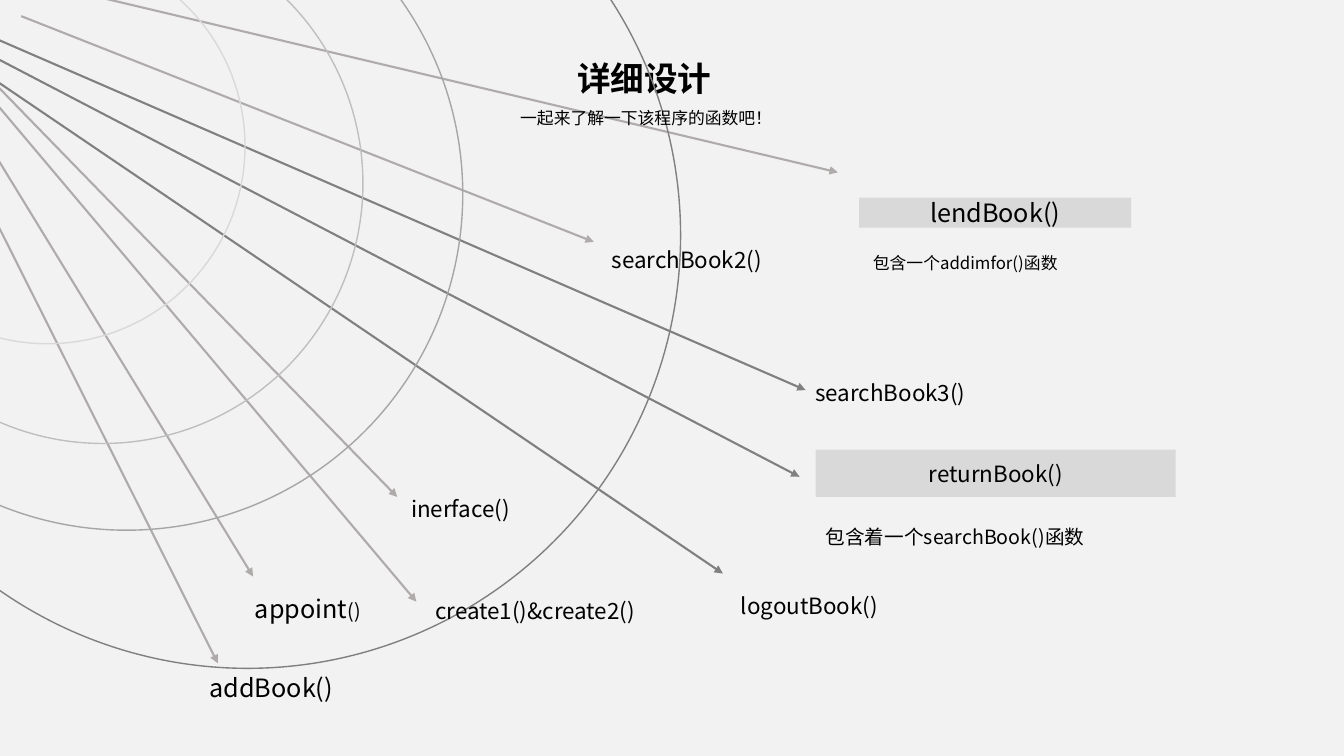
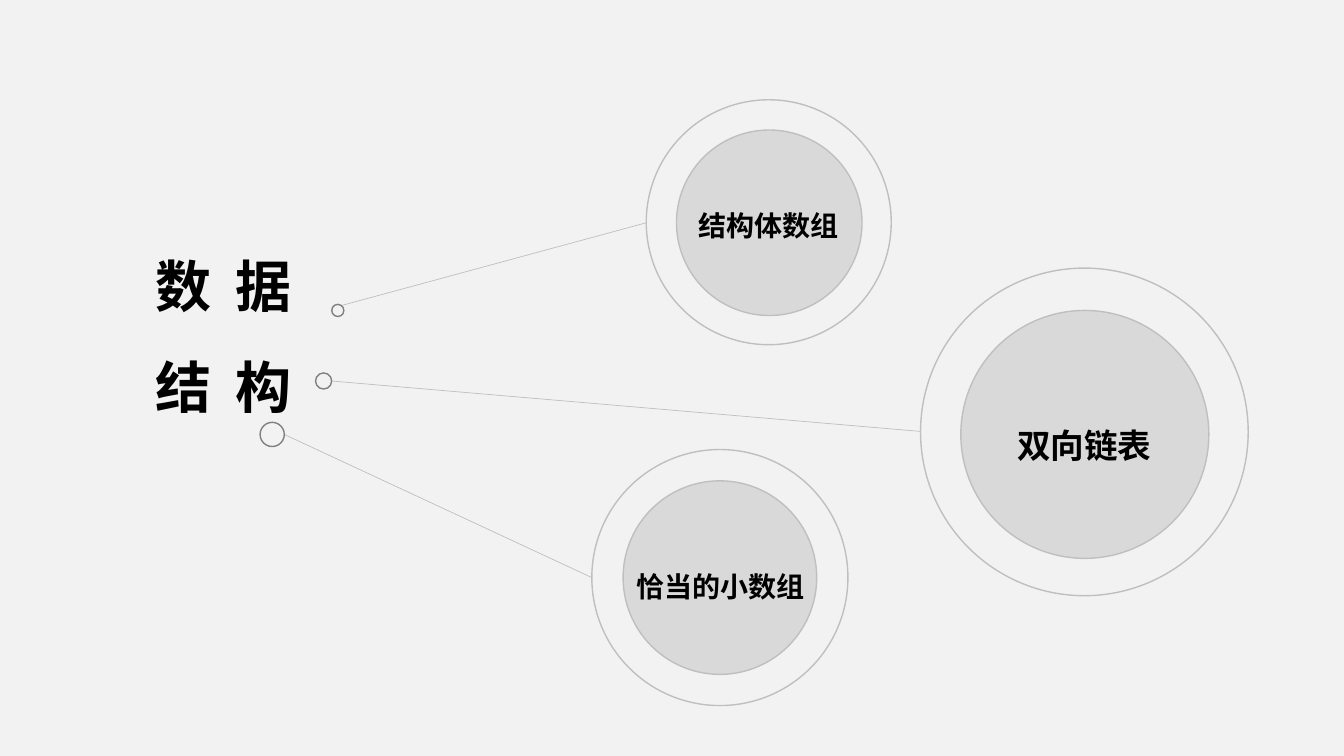
from lxml import etree
from pptx import Presentation
from pptx.dml.color import RGBColor
from pptx.enum.shapes import MSO_CONNECTOR, MSO_SHAPE
from pptx.enum.text import MSO_ANCHOR, MSO_AUTO_SIZE, PP_ALIGN
from pptx.oxml.ns import qn
from pptx.util import Inches, Pt

STRAIGHT = MSO_CONNECTOR.STRAIGHT
OVAL, RECTANGLE = MSO_SHAPE.OVAL, MSO_SHAPE.RECTANGLE
TOP, MIDDLE = MSO_ANCHOR.TOP, MSO_ANCHOR.MIDDLE
LEFT, CENTER = PP_ALIGN.LEFT, PP_ALIGN.CENTER
FONT = "Noto Sans CJK SC"
COLORS = {
    "background": "F2F2F2",
    "text": "000000",
    "panel": "D9D9D9",
    "ring": "BFBFBF",
    "arc": "A6A6A6",
    "light_arrow": "AFABAB",
    "dark": "808080",
}


def rgb(name):
    return RGBColor.from_string(COLORS[name])


def write_text(shape, paragraphs, bold=False, align=LEFT, spacing=1.5, anchor=TOP):
    """Fill a shape; each paragraph is a list of (text, size, tracking) runs."""
    frame = shape.text_frame
    frame.word_wrap = True
    frame.auto_size = MSO_AUTO_SIZE.NONE
    frame.vertical_anchor = anchor
    for index, runs in enumerate(paragraphs):
        paragraph = frame.add_paragraph() if index else frame.paragraphs[0]
        paragraph.alignment = align
        paragraph.line_spacing = spacing
        paragraph.space_before = Pt(0)
        for text, size, tracking in runs:
            run = paragraph.add_run()
            run.text = text
            run.font.size = Pt(size)
            run.font.bold = bold
            run.font.name = FONT
            run.font.color.rgb = rgb("text")
            properties = run.font._element
            properties.set("spc", str(tracking * 100))
            east_asian = etree.Element(qn("a:ea"), typeface=FONT)
            properties.find(qn("a:latin")).addnext(east_asian)


presentation = Presentation()
presentation.slide_width = Inches(13.33)
presentation.slide_height = Inches(7.5)
master_fill = presentation.slide_master.background.fill
master_fill.solid()
master_fill.fore_color.rgb = rgb("background")
title_only = presentation.slide_layouts[5]
functions_slide = presentation.slides.add_slide(title_only)
structures_slide = presentation.slides.add_slide(title_only)

# Titles: slide, box, paragraphs
titles = [
    (functions_slide, (3.04, 0.32, 6.7, 0.65), [[("详细设计", 24, 0)]]),
    (structures_slide, (0.5, 2.11, 3.44, 2.12),
     [[("数 据", 40, 4.5)], [("结 构", 40, 4.5)]]),
]
for slide, box, paragraphs in titles:
    title = slide.shapes.title
    title.left, title.top, title.width, title.height = map(Inches, box)
    paragraphs = [[(text, size, int(tracking * 100) / 100) for text, size, tracking in runs]
                  for runs in paragraphs]
    write_text(title, [[(text, size, round(tracking)) for text, size, tracking in runs]
                       for runs in paragraphs], bold=True, align=CENTER)

# Lines: start, end, colour
arrows = [
    ((0.13, -0.23), (8.31, 1.71), "light_arrow"),
    ((0.21, 0.16), (5.89, 2.4), "light_arrow"),
    ((-0.19, 0.32), (7.99, 3.87), "dark"),
    ((-0.07, 0.56), (7.93, 4.73), "dark"),
    ((-0.16, 0.72), (7.17, 5.69), "dark"),
    ((-0.07, 0.81), (3.94, 4.93), "light_arrow"),
    ((-0.07, 0.99), (4.13, 5.97), "light_arrow"),
    ((-0.48, 0.83), (2.51, 5.72), "light_arrow"),
    ((-0.6, 1.08), (2.16, 6.58), "light_arrow"),
]
links = [
    ((3.39, 3.03), (6.41, 2.21), "ring"),
    ((3.29, 3.78), (9.13, 4.28), "ring"),
    ((2.82, 4.31), (5.87, 5.73), "ring"),
]
for slide, lines, width, has_head in [
    (functions_slide, arrows, 1.5, True),
    (structures_slide, links, 0.5, False),
]:
    for start, end, color in lines:
        connector = slide.shapes.add_connector(STRAIGHT, *map(Inches, start + end))
        connector.line.color.rgb = rgb(color)
        connector.line.width = Pt(width)
        if has_head:
            outline = connector.line._get_or_add_ln()
            etree.SubElement(outline, qn("a:tailEnd"), type="triangle")
        etree.SubElement(connector._element.spPr, qn("a:effectLst"))

# Circles: left, top, diameter, fill, outline
arcs = [
    (-1.49, -0.51, 3.92, None, "panel"),
    (-1.56, -0.76, 5.16, None, "ring"),
    (-2.08, -1.41, 6.67, None, "arc"),
    (-1.84, -1.96, 8.59, None, "dark"),
]
nodes = [
    (3.29, 3.02, 0.12, "background", "dark"),
    (3.13, 3.7, 0.16, "background", "dark"),
    (2.58, 4.19, 0.24, "background", "dark"),
    (6.71, 1.29, 1.84, "panel", "ring"),
    (6.41, 0.99, 2.43, None, "ring"),
    (6.18, 4.77, 1.92, "panel", "ring"),
    (5.87, 4.46, 2.54, None, "ring"),
    (9.53, 3.08, 2.46, "panel", "ring"),
    (9.13, 2.66, 3.25, None, "ring"),
]
for slide, circles in [(functions_slide, arcs), (structures_slide, nodes)]:
    for left, top, diameter, fill, outline in circles:
        circle = slide.shapes.add_shape(
            OVAL, *map(Inches, (left, top, diameter, diameter)))
        circle.shadow.inherit = False
        if fill:
            circle.fill.solid()
            circle.fill.fore_color.rgb = rgb(fill)
        else:
            circle.fill.background()
        circle.line.color.rgb = rgb(outline)
        circle.line.width = Pt(1)

# Shaded function names: box, text, size
for box, text, size in [
    ((8.52, 1.96, 2.7, 0.3), "lendBook()", 18),
    ((8.09, 4.46, 3.57, 0.47), "returnBook()", 16),
]:
    panel = functions_slide.shapes.add_shape(RECTANGLE, *map(Inches, box))
    panel.shadow.inherit = False
    panel.fill.solid()
    panel.fill.fore_color.rgb = rgb("panel")
    panel.line.fill.background()
    write_text(panel, [[(text, size, 0)]], align=CENTER, spacing=1.0, anchor=MIDDLE)

# Labels: box, runs
function_labels = [
    ((3.98, 4.73, 2.19, 0.5), [("inerface()", 16, 0)]),
    ((4.22, 5.74, 2.68, 0.5), [("create1()&create2()", 16, 0)]),
    ((8.56, 2.36, 2.6, 0.4), [("包含一个addimfor()函数", 12, 0)]),
    ((8.09, 5.04, 3.27, 0.45), [("包含着一个searchBook()函数", 14, 0)]),
    ((1.98, 6.47, 2.68, 0.55), [("addBook()", 18, 0)]),
    ((7.25, 5.69, 2.68, 0.5), [("logoutBook()", 16, 0)]),
    ((5.97, 2.26, 2.35, 0.5), [("searchBook2()", 16, 0)]),
    ((2.43, 5.69, 1.7, 0.55), [("appoint", 18, 0), ("()", 14, 0)]),
    ((7.99, 3.58, 2.68, 0.5), [("searchBook3()", 16, 0)]),
]
subtitle = [((3.06, 0.92, 6.7, 0.4), [("一起来了解一下该程序的函数吧！", 12, 0)])]
structure_labels = [
    ((6.76, 1.85, 1.73, 0.6), [("结构体数组", 20, 0)]),
    ((6.18, 5.43, 1.93, 0.6), [("恰当的小数组", 20, 0)]),
    ((9.63, 3.97, 2.25, 0.71), [("双向链表", 24, 0)]),
]
for slide, labels, bold, align in [
    (functions_slide, function_labels, False, LEFT),
    (functions_slide, subtitle, False, CENTER),
    (structures_slide, structure_labels, True, CENTER),
]:
    for box, runs in labels:
        label = slide.shapes.add_textbox(*map(Inches, box))
        write_text(label, [runs], bold, align)

presentation.save("out.pptx")
